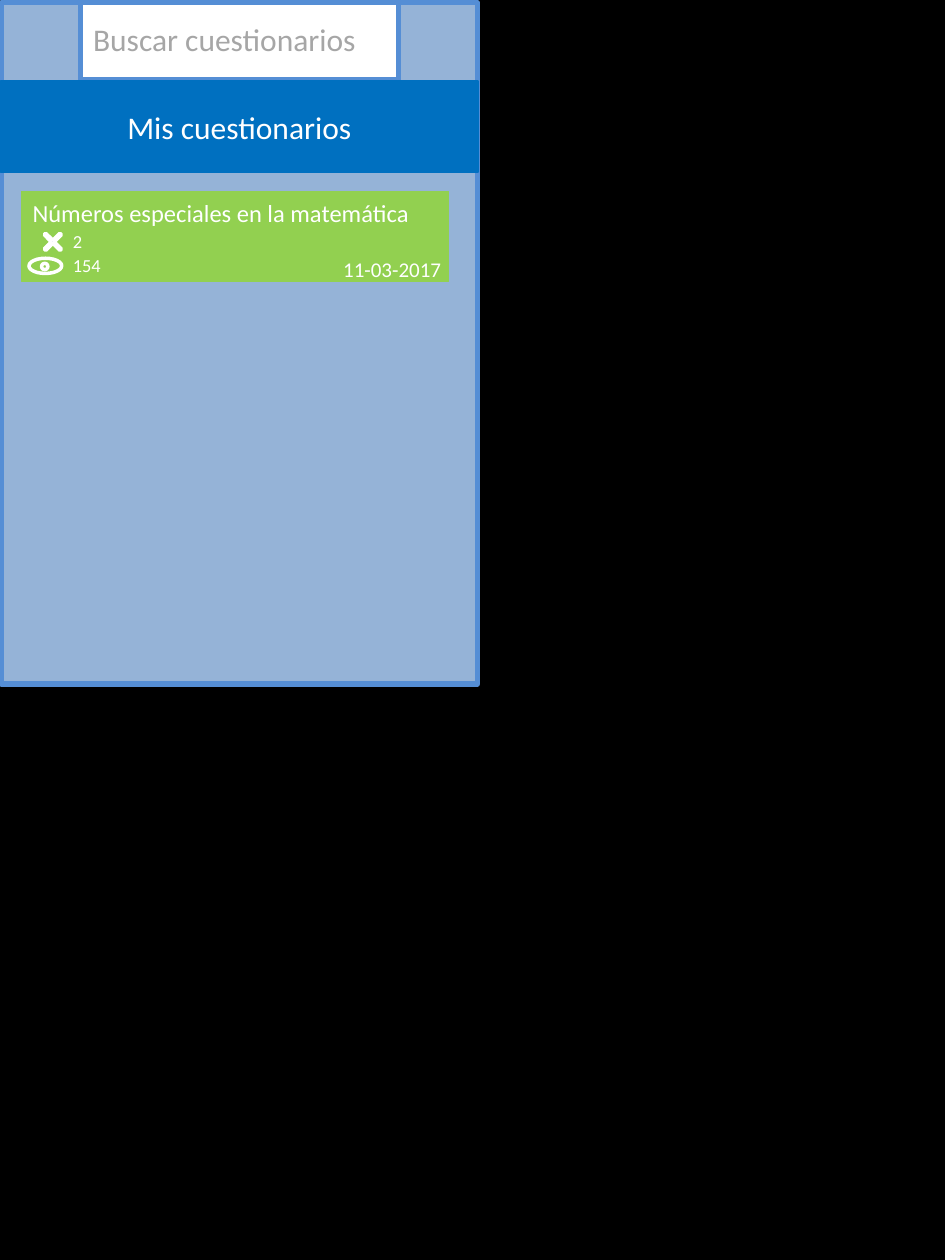
from pptx import Presentation
from pptx.dml.color import RGBColor
from pptx.enum.shapes import MSO_SHAPE
from pptx.enum.text import MSO_ANCHOR, MSO_AUTO_SIZE, PP_ALIGN
from pptx.util import Inches, Pt

WIDTH, HEIGHT = Inches(7.5), Inches(10)
COLUMNS, ROWS = 750, 1000

BLACK = RGBColor(0x00, 0x00, 0x00)
WHITE = RGBColor(0xFF, 0xFF, 0xFF)
GREY = RGBColor(0xA6, 0xA6, 0xA6)
PANEL_BLUE = RGBColor(0x95, 0xB3, 0xD7)
BORDER_BLUE = RGBColor(0x55, 0x8E, 0xD5)
BANNER_BLUE = RGBColor(0x00, 0x70, 0xC0)
CROSS_BLUE = RGBColor(0x4F, 0x81, 0xBD)
GREEN = RGBColor(0x92, 0xD0, 0x50)


def grid(left, top, columns, rows):
    column, row = WIDTH / COLUMNS, HEIGHT / ROWS
    return (round(left * column), round(top * row),
            round(columns * column), round(rows * row))


def add_form(parent, kind, area, fill, line, weight, rotation=0, adjustment=None):
    form = parent.shapes.add_shape(kind, *grid(*area))
    form.shadow.inherit = False
    form.fill.solid()
    form.fill.fore_color.rgb = fill
    form.line.color.rgb = line
    form.line.width = Pt(weight)
    form.rotation = rotation
    if adjustment is not None:
        form.adjustments[0] = adjustment
    return form


def write(box, text, size, color=WHITE, align=PP_ALIGN.LEFT, anchor=MSO_ANCHOR.TOP):
    frame = box.text_frame
    frame.word_wrap = True
    frame.vertical_anchor = anchor
    para = frame.paragraphs[0]
    para.alignment = align
    span = para.add_run()
    span.text = text
    span.font.name = "Calibri"
    span.font.size = Pt(size)
    span.font.color.rgb = color


def add_label(page, text, area, **style):
    box = page.shapes.add_textbox(*grid(*area))
    write(box, text, **style)
    box.text_frame.auto_size = MSO_AUTO_SIZE.SHAPE_TO_FIT_TEXT


def add_eye(page):
    eye = page.shapes.add_group_shape()
    for top, rotation in ((195, 90), (201, 270)):
        add_form(eye, MSO_SHAPE.MOON, (33, top, 6, 26), GREEN, WHITE, 2,
                 rotation=rotation, adjustment=0)
    add_form(eye, MSO_SHAPE.FLOWCHART_CONNECTOR, (33, 209, 5, 5), GREEN, WHITE, 2)


def add_search(page):
    add_form(page, MSO_SHAPE.RECTANGLE, (64, 2, 252, 61), WHITE, BORDER_BLUE, 3)
    add_label(page, "Buscar cuestionarios", (64, 11, 252, 40), size=18, color=GREY)


def add_card(page, title, date, attempts, views):
    add_form(page, MSO_SHAPE.RECTANGLE, (17, 152, 339, 71), GREEN, GREEN, 0.25)
    add_label(page, title, (16, 152, 339, 34), size=14)
    add_label(page, date, (250, 199, 110, 30), size=12, align=PP_ALIGN.RIGHT)
    add_label(page, views, (48, 197, 49, 28), size=10.5)
    add_eye(page)
    add_form(page, MSO_SHAPE.MATH_MULTIPLY, (30, 180, 24, 24), CROSS_BLUE, WHITE, 2,
             adjustment=0.07)
    add_label(page, attempts, (48, 178, 49, 28), size=10.5)


def add_banner(page, text):
    banner = add_form(page, MSO_SHAPE.RECTANGLE, (1, 65, 378, 71),
                      BANNER_BLUE, BANNER_BLUE, 2.25)
    write(banner, text, size=18, align=PP_ALIGN.CENTER, anchor=MSO_ANCHOR.MIDDLE)


def main():
    deck = Presentation()
    deck.slide_width, deck.slide_height = WIDTH, HEIGHT
    page = deck.slides.add_slide(deck.slide_layouts[6])
    page.background.fill.solid()
    page.background.fill.fore_color.rgb = BLACK
    add_form(page, MSO_SHAPE.RECTANGLE, (1, 2, 378, 541), PANEL_BLUE, BORDER_BLUE, 3)
    add_search(page)
    add_card(page, "Números especiales en la matemática", "11-03-2017", "2", "154")
    add_banner(page, "Mis cuestionarios")
    deck.save("out.pptx")


if __name__ == "__main__":
    main()
